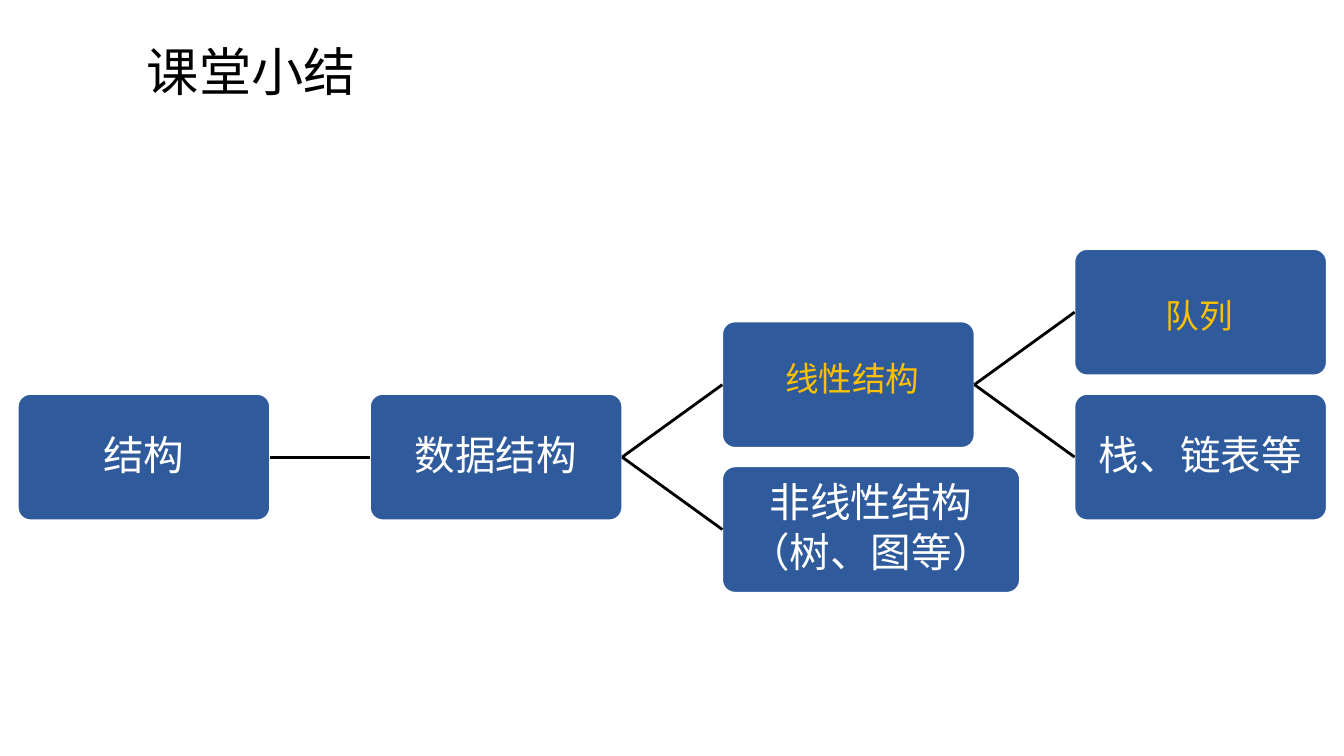
from lxml import etree
from pptx import Presentation
from pptx.dml.color import RGBColor
from pptx.enum.shapes import MSO_CONNECTOR, MSO_SHAPE
from pptx.enum.text import MSO_ANCHOR, MSO_AUTO_SIZE, PP_ALIGN
from pptx.oxml.ns import qn
from pptx.util import Pt

ROUNDED = MSO_SHAPE.ROUNDED_RECTANGLE
STRAIGHT = MSO_CONNECTOR.STRAIGHT
TOP, MIDDLE = MSO_ANCHOR.TOP, MSO_ANCHOR.MIDDLE
LEFT, CENTER = PP_ALIGN.LEFT, PP_ALIGN.CENTER
NO_FIT = MSO_AUTO_SIZE.NONE
LEFT_SIDE, RIGHT_SIDE = 1, 3

COLORS = {"node": "2F5B9C", "light": "FFFFFF", "dark": "000000", "gold": "FFC000"}
NODE_WIDTH, NODE_HEIGHT = 180, 90
FIRST_LEFT, COLUMN_STEP = 12.8, 251.6
ROOT_TOP, ROW_STEP = 281.5, 51.75

NODES = {
    "structure": (0, 0, NODE_WIDTH, ["结构"]),
    "data": (1, 0, NODE_WIDTH, ["数据结构"]),
    "linear": (2, -1, NODE_WIDTH, []),
    "nonlinear": (2, 1, 212.4, ["非线性结构", "（树、图等）"]),
    "queue": (3, -2, NODE_WIDTH, []),
    "stack": (3, 0, NODE_WIDTH, ["栈、链表等"]),
}
BRANCHES = [
    ("structure", "data"),
    ("data", "linear"),
    ("data", "nonlinear"),
    ("linear", "queue"),
    ("linear", "stack"),
]
HIGHLIGHTS = [
    ("线性结构", 553.7, 252, 124.6),
    ("队列", 825.8, 207.4, 90.7),
]


def color(key):
    """Return the named palette colour."""
    return RGBColor.from_string(COLORS[key])


def set_insets(frame, horizontal, vertical):
    """Set the text margins of a frame."""
    frame.margin_left = frame.margin_right = Pt(horizontal)
    frame.margin_top = frame.margin_bottom = Pt(vertical)


def write_lines(frame, lines, font_name, size, color_key, align):
    """Write one formatted paragraph per line."""
    frame.text = "\n".join(lines)
    for paragraph in frame.paragraphs:
        paragraph.alignment = align
        paragraph.font.name = font_name
        paragraph.font.size = Pt(size)
        paragraph.font.color.rgb = color(color_key)


def add_title(slide, text):
    """Place and format the slide title."""
    title = slide.shapes.title
    title.left, title.top, title.width, title.height = Pt(100), Pt(23), Pt(161), Pt(55)
    frame = title.text_frame
    frame.auto_size = NO_FIT
    frame.word_wrap = False
    frame.vertical_anchor = TOP
    set_insets(frame, 5, 5)
    write_lines(frame, [text], "Noto Sans CJK SC", 37.3, "dark", LEFT)


def add_node(slide, column, row, width, lines):
    """Add a rounded tree node on the column and row grid."""
    node = slide.shapes.add_shape(
        ROUNDED,
        Pt(FIRST_LEFT + column * COLUMN_STEP),
        Pt(ROOT_TOP + row * ROW_STEP),
        Pt(width),
        Pt(NODE_HEIGHT),
    )
    node.adjustments[0] = 0.1
    node.shadow.inherit = False
    node.fill.solid()
    node.fill.fore_color.rgb = color("node")
    node.line.color.rgb = color("light")
    node.line.width = Pt(1)
    if lines:
        frame = node.text_frame
        frame.word_wrap = True
        frame.vertical_anchor = MIDDLE
        set_insets(frame, 4, 4)
        write_lines(frame, lines, "Arial", 29, "light", CENTER)
        for paragraph in frame.paragraphs:
            paragraph.line_spacing = 0.9
            paragraph.space_after = Pt(4)
    return node


def add_branch(slide, parent, child):
    """Join a parent's right side to a child's left side."""
    branch = slide.shapes.add_connector(STRAIGHT, 0, 0, 0, 0)
    branch.begin_connect(parent, RIGHT_SIDE)
    branch.end_connect(child, LEFT_SIDE)
    branch.line.color.rgb = color("dark")
    branch.line.width = Pt(2)
    etree.SubElement(branch.element.spPr, qn("a:effectLst"))


def add_highlight(slide, text, left, top, width):
    """Add a gold label over a node."""
    label = slide.shapes.add_textbox(Pt(left), Pt(top), Pt(width), Pt(36.4))
    label.text_frame.word_wrap = True
    write_lines(label.text_frame, [text], "TeX Gyre Adventor", 24, "gold", LEFT)


def main():
    """Build the summary slide with its tree of structures."""
    deck = Presentation()
    deck.slide_width, deck.slide_height = Pt(960), Pt(540)
    slide = deck.slides.add_slide(deck.slide_layouts[5])
    add_title(slide, "课堂小结")
    nodes = {key: add_node(slide, *place) for key, place in NODES.items()}
    for parent, child in BRANCHES:
        add_branch(slide, nodes[parent], nodes[child])
    for highlight in HIGHLIGHTS:
        add_highlight(slide, *highlight)
    deck.save("out.pptx")


if __name__ == "__main__":
    main()
